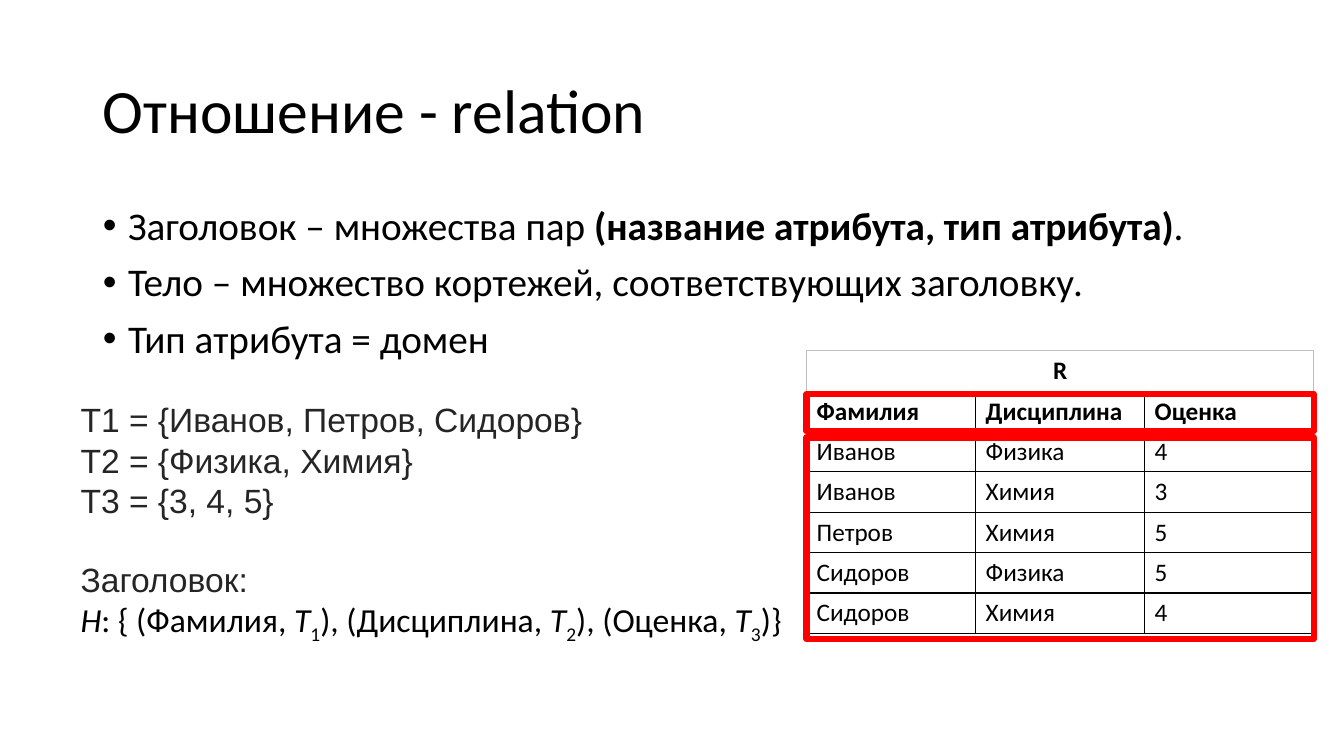
from dataclasses import dataclass
from lxml.etree import SubElement
from pptx import Presentation
from pptx.dml.color import RGBColor
from pptx.enum.shapes import MSO_SHAPE
from pptx.enum.text import MSO_ANCHOR, MSO_AUTO_SIZE, PP_ALIGN
from pptx.oxml import parse_xml
from pptx.oxml.ns import nsdecls, qn
from pptx.util import Inches, Pt


@dataclass(frozen=True)
class Theme:
    """Colours, fonts and type sizes of the slide."""
    ink: str = "000000"
    soft: str = "252525"
    edge: str = "BFBFBF"
    mark: str = "FF0000"
    main: str = "Calibri"
    alt: str = "Arial"
    title: int = 44
    body: int = 28
    note: int = 24
    cell: int = 18


THEME = Theme()
POINTS = [
    [("Заголовок – множества пар ", ""),
     ("(название атрибута, тип атрибута)", "b"), (".", "")],
    [("Тело – множество кортежей, соответствующих заголовку.", "")],
    [("Тип атрибута = домен", "")],
]
TYPES = ["T1 = {Иванов, Петров, Сидоров}", "T2 = {Физика, Химия}",
         "T3 = {3, 4, 5}"]
FIELDS = ["Фамилия", "Дисциплина", "Оценка"]
ROWS = [
    ["R", "", ""],
    FIELDS,
    ["Иванов", "Физика", "4"],
    ["Иванов", "Химия", "3"],
    ["Петров", "Химия", "5"],
    ["Сидоров", "Физика", "5"],
    ["Сидоров", "Химия", "4"],
]


def write(para, runs, size, font=THEME.main, color=THEME.ink,
          align=PP_ALIGN.LEFT, line=None, before=0, bullet=False):
    """Fill a paragraph with (text, style) runs; b, i and s mean bold, italic, subscript."""
    para.alignment = align
    para.line_spacing = line
    para.space_before = Pt(before)
    if bullet:
        props = para._p.get_or_add_pPr()
        props.set("marL", str(Inches(0.25)))
        props.set("indent", str(-Inches(0.25)))
        SubElement(props, qn("a:buFont"), typeface=THEME.alt)
        SubElement(props, qn("a:buChar"), char="•")
    for text, style in runs:
        run = para.add_run()
        run.text = text
        run.font.size = Pt(size)
        run.font.name = font
        run.font.color.rgb = RGBColor.from_string(color)
        run.font.bold = "b" in style
        run.font.italic = "i" in style
        if "s" in style:
            run.font._element.set("baseline", "-25000")


def place(shape, box):
    """Move a shape to a box given in inches."""
    shape.left, shape.top, shape.width, shape.height = map(Inches, box)


def head(slide, box):
    """Set the slide title."""
    shape = slide.shapes.title
    place(shape, box)
    shape.text_frame.vertical_anchor = MSO_ANCHOR.MIDDLE
    write(shape.text_frame.paragraphs[0], [("Отношение - relation", "")],
          THEME.title, line=0.9)


def points(slide, box):
    """Set the bulleted definitions."""
    shape = slide.placeholders[1]
    place(shape, box)
    frame = shape.text_frame
    for num, runs in enumerate(POINTS):
        para = frame.add_paragraph() if num else frame.paragraphs[0]
        write(para, runs, THEME.body, line=0.9, before=10, bullet=True)


def scheme():
    """Build the runs of the relation header formula."""
    runs = [("H", "i"), (": { ", "")]
    for num, field in enumerate(FIELDS, 1):
        lead = "), " if num > 1 else ""
        runs += [(f"{lead}({field},\u00a0", ""), ("T", "i"), (str(num), "s")]
    return runs + [(")}", "")]


def domains(slide, box):
    """Add the domains and the header formula."""
    frame = slide.shapes.add_textbox(*map(Inches, box)).text_frame
    frame.word_wrap = True
    frame.auto_size = MSO_AUTO_SIZE.SHAPE_TO_FIT_TEXT
    for num, text in enumerate(TYPES):
        para = frame.add_paragraph() if num else frame.paragraphs[0]
        write(para, [(text, "")], THEME.note, font=THEME.alt, color=THEME.soft)
    write(frame.add_paragraph(), [("Заголовок:", "")], THEME.note,
          font=THEME.alt, color=THEME.soft, before=1.15 * THEME.note)
    write(frame.add_paragraph(), scheme(), THEME.note)


def border(cell, color):
    """Draw the four borders of a cell."""
    props = cell._tc.get_or_add_tcPr()
    for pos, side in enumerate("LRTB"):
        props.insert(pos, parse_xml(
            f'<a:ln{side} {nsdecls("a")} w="{Pt(1)}"><a:solidFill>'
            f'<a:srgbClr val="{color}"/></a:solidFill></a:ln{side}>'))


def grid(slide, box):
    """Add the relation table."""
    table = slide.shapes.add_table(len(ROWS), len(FIELDS),
                                   *map(Inches, box)).table
    table.first_row = table.horz_banding = False
    for row, texts in enumerate(ROWS):
        for col, text in enumerate(texts):
            cell = table.cell(row, col)
            cell.fill.background()
            cell.vertical_anchor = MSO_ANCHOR.MIDDLE
            border(cell, THEME.ink if row else THEME.edge)
            if text:
                write(cell.text_frame.paragraphs[0],
                      [(text, "b" if row < 2 else "")], THEME.cell,
                      align=PP_ALIGN.LEFT if row else PP_ALIGN.CENTER)
    table.cell(0, 0).merge(table.cell(0, len(FIELDS) - 1))


def outline(slide, box):
    """Add a red frame around a part of the table."""
    shape = slide.shapes.add_shape(MSO_SHAPE.RECTANGLE, *map(Inches, box))
    shape.shadow.inherit = False
    shape.fill.background()
    shape.line.color.rgb = RGBColor.from_string(THEME.mark)
    shape.line.width = Pt(4.5)


def relation(slide, box):
    """Add the table with its header and body framed."""
    left, top, width, height = box
    grid(slide, box)
    outline(slide, (left, top + 0.43, width, 0.37))
    outline(slide, (left, top + 0.86, width, height - 0.8))


def main():
    """Build and save the slide."""
    deck = Presentation()
    deck.slide_width, deck.slide_height = Inches(13.33), Inches(7.5)
    slide = deck.slides.add_slide(deck.slide_layouts[1])
    head(slide, (0.92, 0.4, 11.5, 1.45))
    points(slide, (0.92, 2, 11.5, 4.76))
    domains(slide, (0.7, 3.91, 7.92, 2.52))
    relation(slide, (8, 3.48, 5.03, 2.8))
    deck.save("out.pptx")


main()
